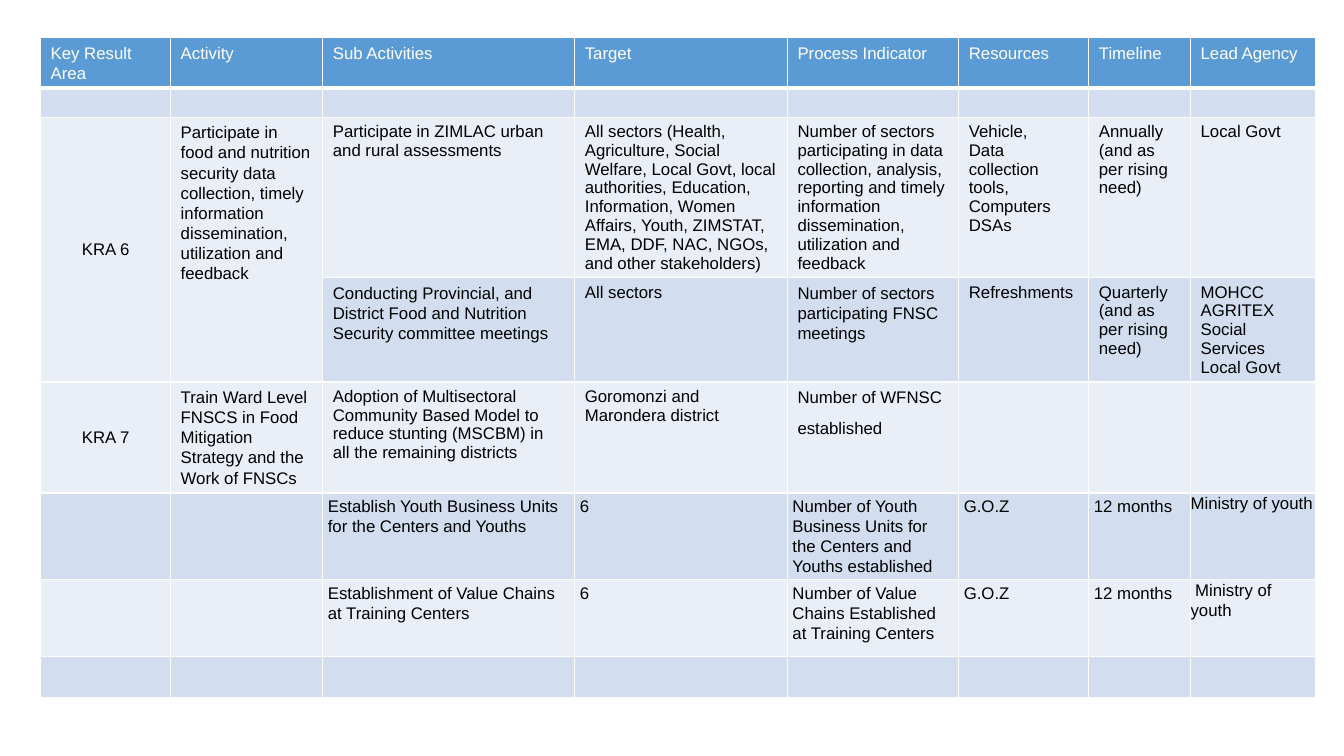
from lxml import etree
from pptx import Presentation
from pptx import util as u
from pptx.dml.color import RGBColor
from pptx.enum import text
from pptx.oxml.ns import qn

Pt = u.Pt
COLUMN_WIDTHS = [92.9, 108.7, 180, 151.9, 122.4, 92.9, 72.7, 89.3]
ROW_HEIGHTS = [35.7, 20.7, 114.3, 74.3, 79.3, 60.7, 55, 29.3]
HEADER_FILL, DARK_BAND, LIGHT_BAND = "5B9BD5", "D2DEEF", "EAEFF7"
ALL_COLUMNS = set(range(len(COLUMN_WIDTHS)))

# Each newline starts a new paragraph
PLAN = [
    ["Key Result Area", "Activity", "Sub Activities", "Target",
     "Process Indicator", "Resources", "Timeline", "Lead Agency"],
    [""] * 8,
    ["KRA 6",
     "Participate in food and nutrition security data collection, timely "
     "information dissemination, utilization and feedback",
     "Participate in ZIMLAC urban and rural assessments",
     "All sectors (Health, Agriculture, Social Welfare, Local Govt, local "
     "authorities, Education, Information, Women Affairs, Youth, ZIMSTAT, "
     "EMA, DDF, NAC, NGOs, and other stakeholders)",
     "Number of sectors participating in data collection, analysis, reporting "
     "and timely information dissemination, utilization and feedback",
     "Vehicle,\nData collection tools, Computers\nDSAs",
     "Annually\n(and as per rising need)", "Local Govt"],
    ["", "",
     "Conducting Provincial, and District Food and Nutrition Security "
     "committee meetings",
     "All sectors", "Number of sectors participating FNSC meetings",
     "Refreshments", "Quarterly\n(and as per rising need)",
     "MOHCC\nAGRITEX\nSocial Services\nLocal Govt"],
    ["KRA 7",
     "Train Ward Level FNSCS in Food Mitigation Strategy and the Work of FNSCs",
     "Adoption of Multisectoral Community Based Model to reduce stunting "
     "(MSCBM) in all the remaining districts",
     "Goromonzi and Marondera district", "Number of WFNSC\nestablished",
     "", "", ""],
    ["", "", "Establish Youth Business Units for the Centers and Youths", "6",
     "Number of Youth Business Units for the Centers and Youths established",
     "G.O.Z", "12 months", "Ministry of youth"],
    ["", "", "Establishment of Value Chains at Training Centers", "6",
     "Number of Value Chains Established at Training Centers",
     "G.O.Z", "12 months", "Ministry of youth"],
    [""] * 8,
]
# Columns set with wider line spacing, by row
LOOSE_COLUMNS = {0: ALL_COLUMNS, 2: {1}, 3: {2, 4}, 4: {1, 4},
                 5: ALL_COLUMNS, 6: ALL_COLUMNS}
YOUTH_ROWS, LEAD_AGENCY, VALUE_CHAINS = (5, 6), 7, 6


def color(hex_string):
    return RGBColor.from_string(hex_string)


def set_borders(cell, row):
    """White rules, thicker between the header and the body."""
    widths = {"lnL": 1, "lnR": 1, "lnT": 3 if row == 1 else 1,
              "lnB": 3 if row == 0 else 1}
    properties = cell._tc.get_or_add_tcPr()
    for position, (side, width) in enumerate(widths.items()):
        line = etree.Element(qn(f"a:{side}"), w=str(int(Pt(width))))
        fill = etree.SubElement(line, qn("a:solidFill"))
        etree.SubElement(fill, qn("a:srgbClr"), val="FFFFFF")
        properties.insert(position, line)


def set_margins(cell, across, down):
    cell.margin_left = cell.margin_right = Pt(across)
    cell.margin_top = cell.margin_bottom = Pt(down)


def fill_cell(cell, row, column, wording):
    # Band colour and rules
    cell.fill.solid()
    band = DARK_BAND if row % 2 else LIGHT_BAND
    if row == len(PLAN) - 1:
        band = DARK_BAND
    cell.fill.fore_color.rgb = color(band if row else HEADER_FILL)
    set_borders(cell, row)

    # Margins
    if row not in YOUTH_ROWS:
        set_margins(cell, 7.2, 3.6)
    elif column == LEAD_AGENCY:
        set_margins(cell, 0, 0)
    else:
        set_margins(cell, 3.6, 2.16)

    # Wording
    cell.text = wording
    is_result_area = wording.startswith("KRA")
    if is_result_area:
        cell.vertical_anchor = text.MSO_ANCHOR.MIDDLE
    for paragraph in cell.text_frame.paragraphs:
        if is_result_area:
            paragraph.alignment = text.PP_ALIGN.CENTER
        if column in LOOSE_COLUMNS.get(row, ()):
            paragraph.line_spacing = 1.07
            paragraph.space_after = Pt(8)
        if (row, column) == (VALUE_CHAINS, LEAD_AGENCY):
            paragraph._p.get_or_add_pPr().set("indent", str(int(Pt(3.3))))
        paragraph.font.name = "Arial"
        paragraph.font.size = Pt(12 if wording else 10)
        paragraph.font.bold = False
        paragraph.font.color.rgb = color("000000" if row else "FFFFFF")


def add_plan_table(slide, left, top):
    frame = slide.shapes.add_table(
        len(ROW_HEIGHTS), len(COLUMN_WIDTHS), Pt(left), Pt(top),
        Pt(sum(COLUMN_WIDTHS)), Pt(sum(ROW_HEIGHTS)))
    plan = frame.table
    plan.horz_banding = False
    for column, width in zip(plan.columns, COLUMN_WIDTHS):
        column.width = Pt(width)
    for row, height in zip(plan.rows, ROW_HEIGHTS):
        row.height = Pt(height)
    for row, wordings in enumerate(PLAN):
        for column, wording in enumerate(wordings):
            fill_cell(plan.cell(row, column), row, column, wording)

    # KRA 6 and its activity cover two rows
    for column in (0, 1):
        plan.cell(2, column).merge(plan.cell(3, column))


def main():
    deck = Presentation()
    deck.slide_width, deck.slide_height = Pt(960), Pt(540)
    slide = deck.slides.add_slide(deck.slide_layouts[6])
    add_plan_table(slide, left=29, top=27)
    deck.save("out.pptx")


if __name__ == "__main__":
    main()
